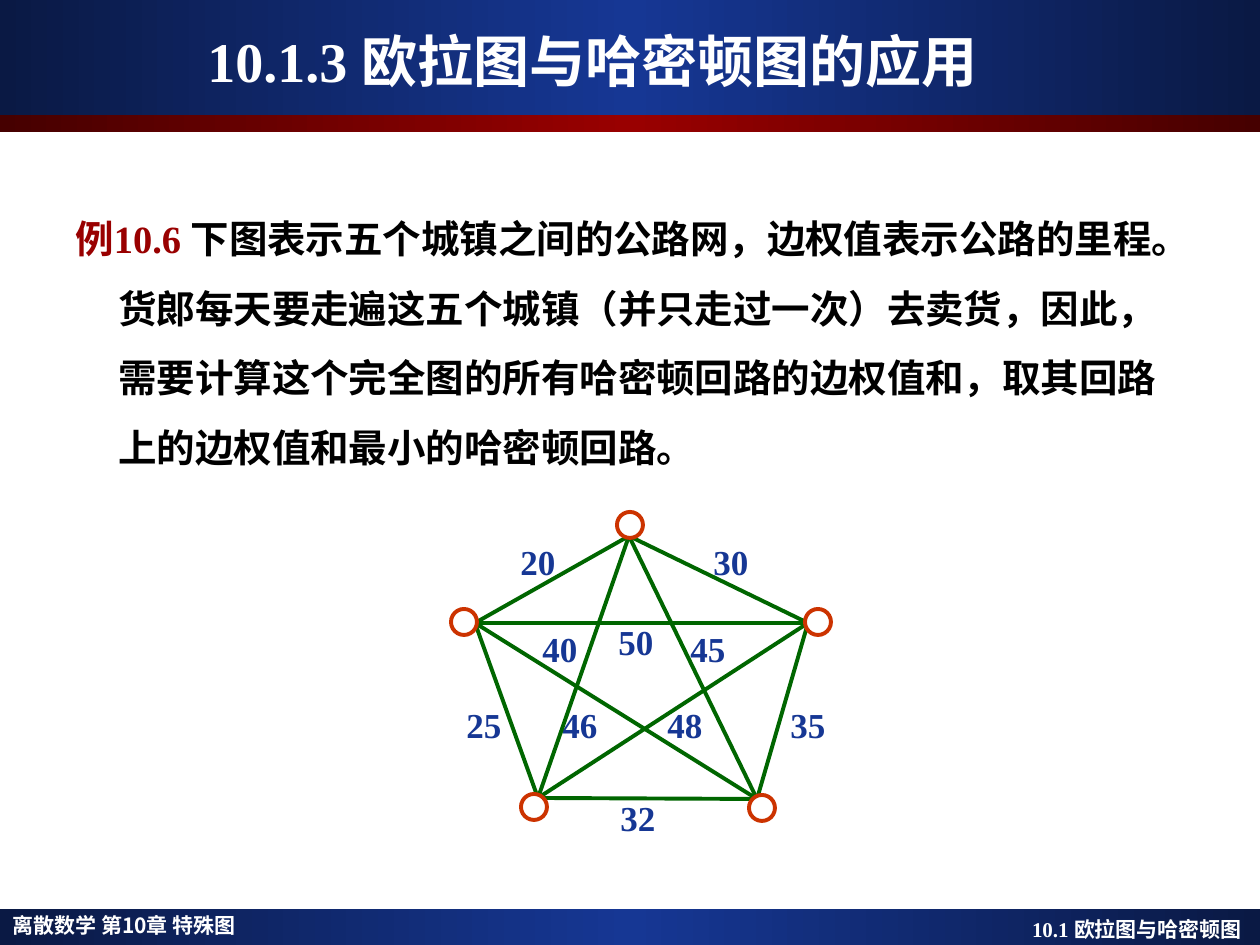
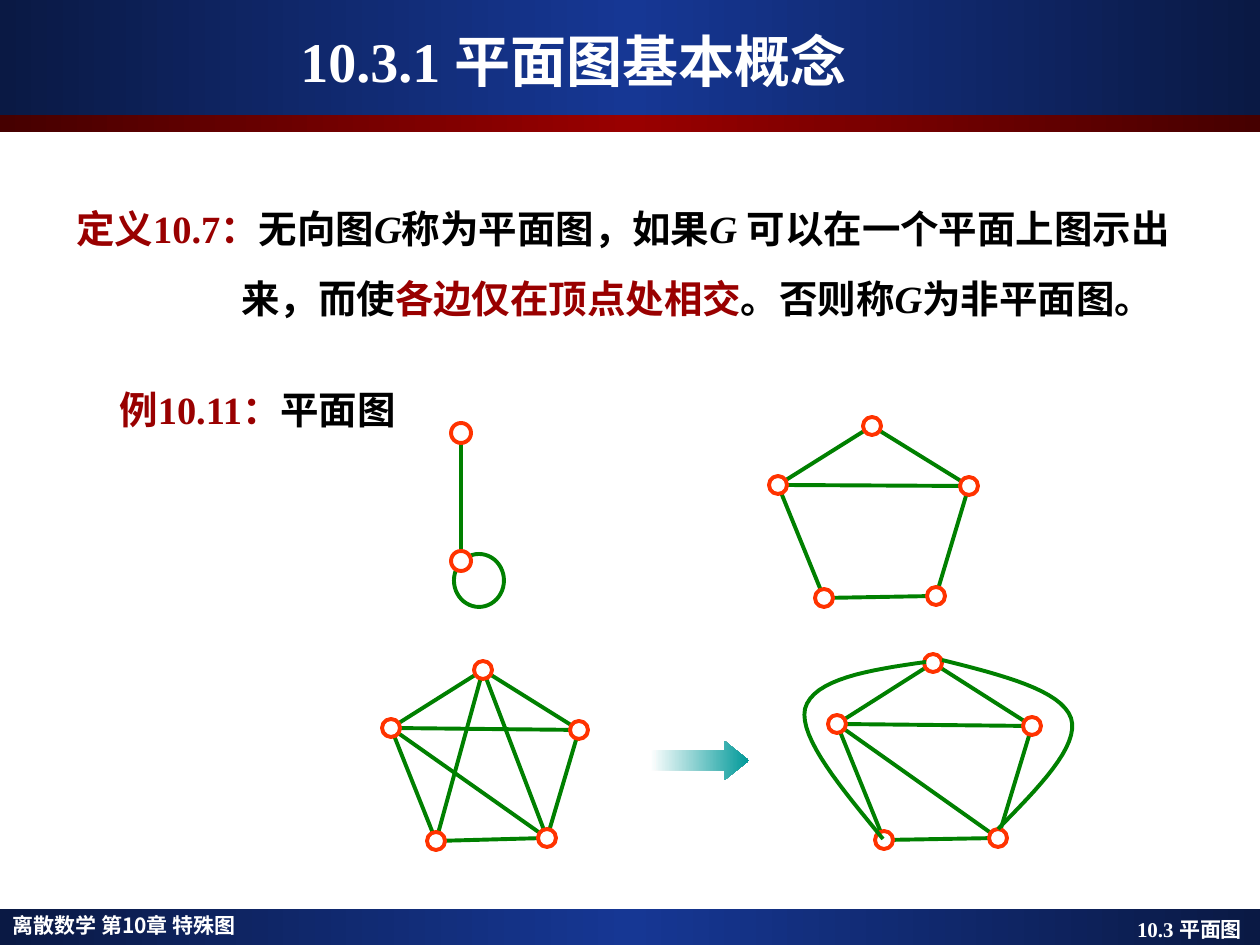
from itertools import combinations
from math import hypot

from copy import deepcopy
from lxml.etree import SubElement
from pptx import Presentation
from pptx.dml.color import RGBColor
from pptx.enum.shapes import MSO_CONNECTOR, MSO_SHAPE
from pptx.enum.text import MSO_ANCHOR, MSO_AUTO_SIZE, PP_ALIGN
from pptx.oxml.ns import qn
from pptx.util import Emu, Pt

PX = 914400 / 126
WIDE, HIGH = 1260, 945
SERIF, SANS = "Times New Roman", "Noto Sans CJK JP"
WHITE, BLACK, RED, BLUE = "FFFFFF", "000000", "990000", "163794"
NAVY = ["0A1944", BLUE, "0A1944"]
BANDS = [  # top, height, colours
    (909, 36, NAVY),
    (0, 115, NAVY),
    (115, 17, ["460000", RED, "460000"]),
]
COURSE = "离散数学 第10章 特殊图"

# Each paragraph: left indent, line spacing, runs of (text, style)
ROADS = {
    "title": "10.1.3 欧拉图与哈密顿图的应用",
    "inset": 77,
    "section": "10.1 欧拉图与哈密顿图",
    "box": (63, 195, 1163, 287),
    "body": [
        (0, 1.3, [("例10.6 ", "red"),
                  ("下图表示五个城镇之间的公路网，边权值表示公路的里程。", "")]),
        (43, 1.3, [("货郎每天要走遍这五个城镇（并只走过一次）去卖货，因此，", "")]),
        (43, 1.3, [("需要计算这个完全图的所有哈密顿回路的边权值和，取其回路", "")]),
        (43, 1.3, [("上的边权值和最小的哈密顿回路。", "")]),
    ],
}
PLANAR = {
    "title": "10.3.1 平面图基本概念",
    "inset": 115,
    "section": "10.3 平面图",
    "box": (64, 185, 1183, 328),
    "body": [
        (0, 1.3, [("定义10.7：", "red"), ("无向图", ""), ("G", "italic"),
                  ("称为平面图，如果", ""), ("G ", "italic"),
                  ("可以在一个平面上图示出", "")]),
        (165, 1.3, [("来，而使", ""), ("各边仅在顶点处相交", "red"),
                    ("。否则称", ""), ("G", "italic"), ("为非平面图。", "")]),
        (43, 2.2, [("例10.11：", "red"), ("平面图", "")]),
    ],
}

# Vertices run: top, left, bottom left, bottom right, right
TOWNS = [(630, 525), (464, 622), (534, 807), (762, 808), (818, 622)]
PORTS = [(629, 536), (475, 623), (538, 798), (757, 799), (808, 623)]
MILES = [
    ("20", 538, 562), ("30", 731, 562), ("40", 560, 649), ("50", 636, 641),
    ("45", 708, 649), ("25", 484, 725), ("46", 580, 725), ("48", 685, 725),
    ("35", 808, 725), ("32", 638, 818),
]
HOUSE = [(1, 4), (2, 3), (0, 1), (0, 4), (1, 2), (4, 3)]
GRAPHS = [  # vertices, edges, radius
    ([(461, 433), (461, 561)], [(0, 1)], 10),
    ([(872, 426), (778, 485), (824, 598), (936, 596), (969, 486)], HOUSE, 9),
    ([(483, 670), (391, 728), (436, 841), (547, 838), (579, 730)],
     HOUSE + [(0, 2), (0, 3), (1, 3)], 9),
    ([(933, 663), (837, 724), (884, 840), (998, 838), (1032, 726)],
     HOUSE + [(1, 3)], 9),
]
LOOP = (454, 554, 50, 53)
ARROW = (650, 741, 99, 39)
ARCS = [  # start, then two cubic pieces
    [(926, 662), (869, 670), (813, 679), (805, 709),
     (799, 738), (842, 789), (883, 839)],
    [(942, 660), (1002, 675), (1061, 690), (1071, 718),
     (1080, 746), (1038, 788), (998, 829)],
]


def emu(*sizes):
    return [Emu(round(s * PX)) for s in sizes]


def rgb(code):
    return RGBColor.from_string(code)


def style(para, size, color, face=SERIF):
    font = para.font
    font.size, font.bold, font.name = Pt(size), True, face
    font.color.rgb = rgb(color)
    SubElement(font._rPr, qn("a:ea")).set("typeface", SANS)


def text(slide, box, words, size, color, align=PP_ALIGN.LEFT, face=SERIF):
    frame = slide.shapes.add_textbox(*emu(*box)).text_frame
    frame.word_wrap = True
    para = frame.paragraphs[0]
    para.text, para.alignment = words, align
    style(para, size, color, face)
    return frame


def shape(slide, kind, box, fill=WHITE, line=None):
    item = slide.shapes.add_shape(kind, *emu(*box))
    item.shadow.inherit = False
    if isinstance(fill, list):
        blend(item, fill)
    else:
        item.fill.solid()
        item.fill.fore_color.rgb = rgb(fill)
    if line:
        pen(item, line)
    else:
        item.line.fill.background()
    return item


def blend(item, colors):
    """Fill from left to right with evenly spaced colours."""
    item.fill.gradient()
    item.fill.gradient_angle = 0
    stops = item._element.spPr.find(qn("a:gradFill")).find(qn("a:gsLst"))
    for _ in colors[2:]:
        stops.append(deepcopy(stops[0]))
    for i, (stop, color) in enumerate(zip(item.fill.gradient_stops, colors)):
        stop.position = i / (len(colors) - 1)
        stop.color.rgb = rgb(color)


def pen(item, color):
    item.line.color.rgb = rgb(color)
    item.line.width = Pt(2.25)


def edge(slide, a, b, color, trim):
    """Join a and b, leaving trim px free at both ends."""
    dx, dy = b[0] - a[0], b[1] - a[1]
    part = trim / hypot(dx, dy)
    ends = emu(a[0] + dx * part, a[1] + dy * part,
               b[0] - dx * part, b[1] - dy * part)
    line = slide.shapes.add_connector(MSO_CONNECTOR.STRAIGHT, *ends)
    pen(line, color)
    SubElement(line._element.spPr, qn("a:effectLst"))


def graph(slide, nodes, edges, r, green, ring, ports=None):
    """Draw edges between ports, or from rim to rim when there are none."""
    ends, trim = (ports, 0) if ports else (nodes, r)
    for a, b in edges:
        edge(slide, ends[a], ends[b], green, trim)
    for x, y in nodes:
        shape(slide, MSO_SHAPE.OVAL, (x - r, y - r, 2 * r, 2 * r), line=ring)


def bend(a, b, c, d, steps=16):
    """Points along a cubic curve, without its start."""
    for i in range(1, steps + 1):
        t = i / steps
        u = 1 - t
        yield tuple(u**3 * p + 3 * u * u * t * q + 3 * u * t * t * s + t**3 * e
                    for p, q, s, e in zip(a, b, c, d))


def arc(slide, dots, color):
    pts = [*bend(*dots[:4]), *bend(*dots[3:])]
    path = slide.shapes.build_freeform(*emu(*dots[0]))
    path.add_line_segments([emu(*p) for p in pts], close=False)
    item = path.convert_to_shape()
    item.shadow.inherit = False
    item.fill.background()
    pen(item, color)


def brand(slide, layout):
    """Draw the bands and course name, then move them to the layout."""
    old = len(slide.shapes)
    for top, high, colors in BANDS:
        shape(slide, MSO_SHAPE.RECTANGLE, (0, top, WIDE, high), colors)
    frame = text(slide, (0, 909, 520, 36), COURSE, 12, WHITE, face=SANS)
    frame.paragraphs[0].line_spacing = 0.9
    for i, item in enumerate(list(slide.shapes)[old:]):
        item._element.nvSpPr.cNvPr.set("id", str(50 + i))
        layout.shapes._spTree.append(item._element)


def page(slide, data):
    """Set the title, section name and body text."""
    title = slide.shapes.title
    title.left, title.top, title.width, title.height = emu(42, 21, 1166, 78)
    frame = title.text_frame
    frame.text = data["title"]
    frame.auto_size = MSO_AUTO_SIZE.NONE
    frame.vertical_anchor = MSO_ANCHOR.MIDDLE
    frame.margin_right = emu(data["inset"])[0]
    frame.paragraphs[0].alignment = PP_ALIGN.CENTER
    style(frame.paragraphs[0], 32, WHITE)

    foot = text(slide, (937, 910, 323, 38), data["section"], 12, WHITE,
                PP_ALIGN.RIGHT)
    foot.margin_right = emu(18)[0]

    frame = slide.shapes.add_textbox(*emu(*data["box"])).text_frame
    frame.word_wrap = True
    for i, (left, gap, runs) in enumerate(data["body"]):
        para = frame.add_paragraph() if i else frame.paragraphs[0]
        para._p.get_or_add_pPr().set("marL", str(emu(left)[0]))
        para.line_spacing = gap
        para.space_before = Pt(5.5 if i else 0)
        style(para, 22, BLACK)
        for words, look in runs:
            run = para.add_run()
            run.text = words
            if look == "red":
                run.font.color.rgb = rgb(RED)
            elif look == "italic":
                run.font.italic = True


def main():
    deck = Presentation()
    deck.slide_width, deck.slide_height = emu(WIDE, HIGH)
    layout = deck.slide_layouts[5]
    roads, planar = [deck.slides.add_slide(layout) for _ in range(2)]
    brand(roads, layout)

    page(roads, ROADS)
    for miles, x, y in MILES:
        frame = text(roads, (x - 35, y - 26, 70, 52), miles, 20, BLUE,
                     PP_ALIGN.CENTER)
        frame.vertical_anchor = MSO_ANCHOR.MIDDLE
    graph(roads, TOWNS, combinations(range(5), 2), 13, "006600", "CC3300", PORTS)

    page(planar, PLANAR)
    green = "008000"
    shape(planar, MSO_SHAPE.OVAL, LOOP, line=green)
    for nodes, edges, r in GRAPHS:
        graph(planar, nodes, edges, r, green, "FF3300")
    for dots in ARCS:
        arc(planar, dots, green)
    arrow = shape(planar, MSO_SHAPE.STRIPED_RIGHT_ARROW, ARROW, [WHITE, "009999"])
    arrow.adjustments[0], arrow.adjustments[1] = 0.5, 0.62

    deck.save("out.pptx")


if __name__ == "__main__":
    main()
